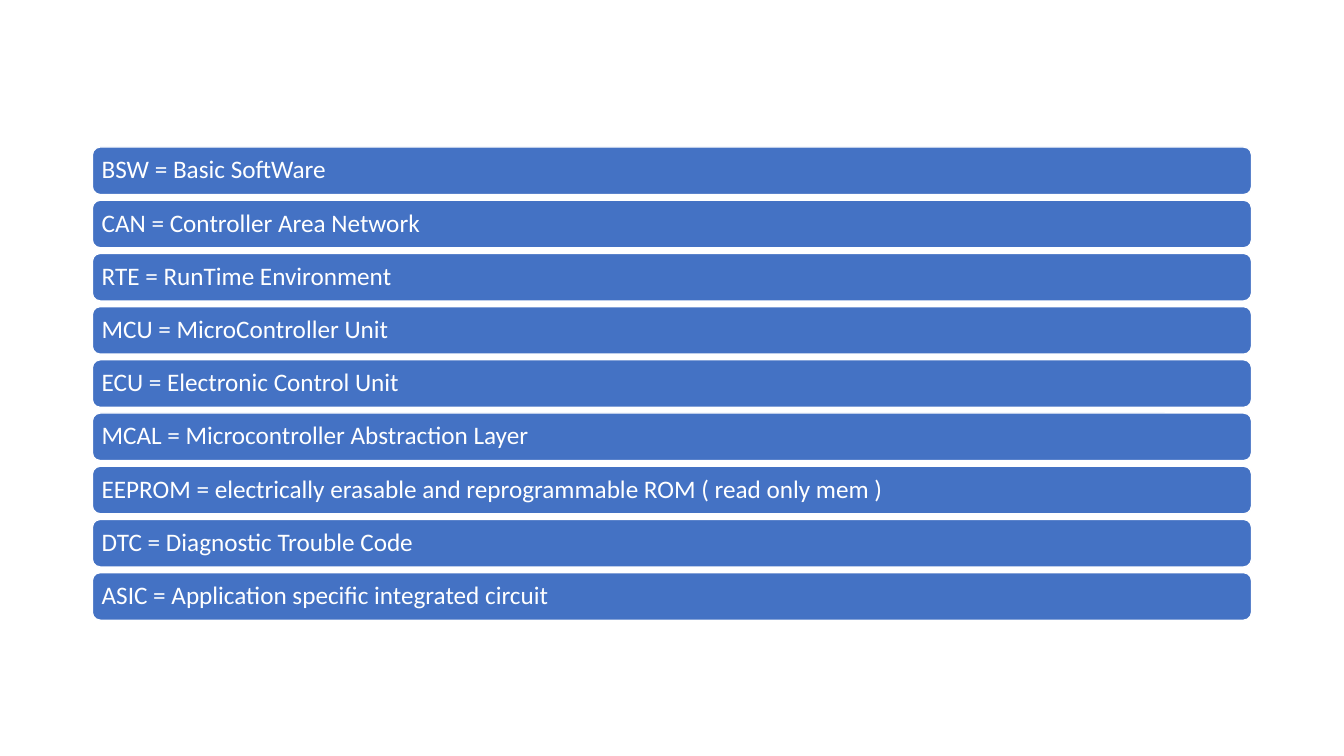
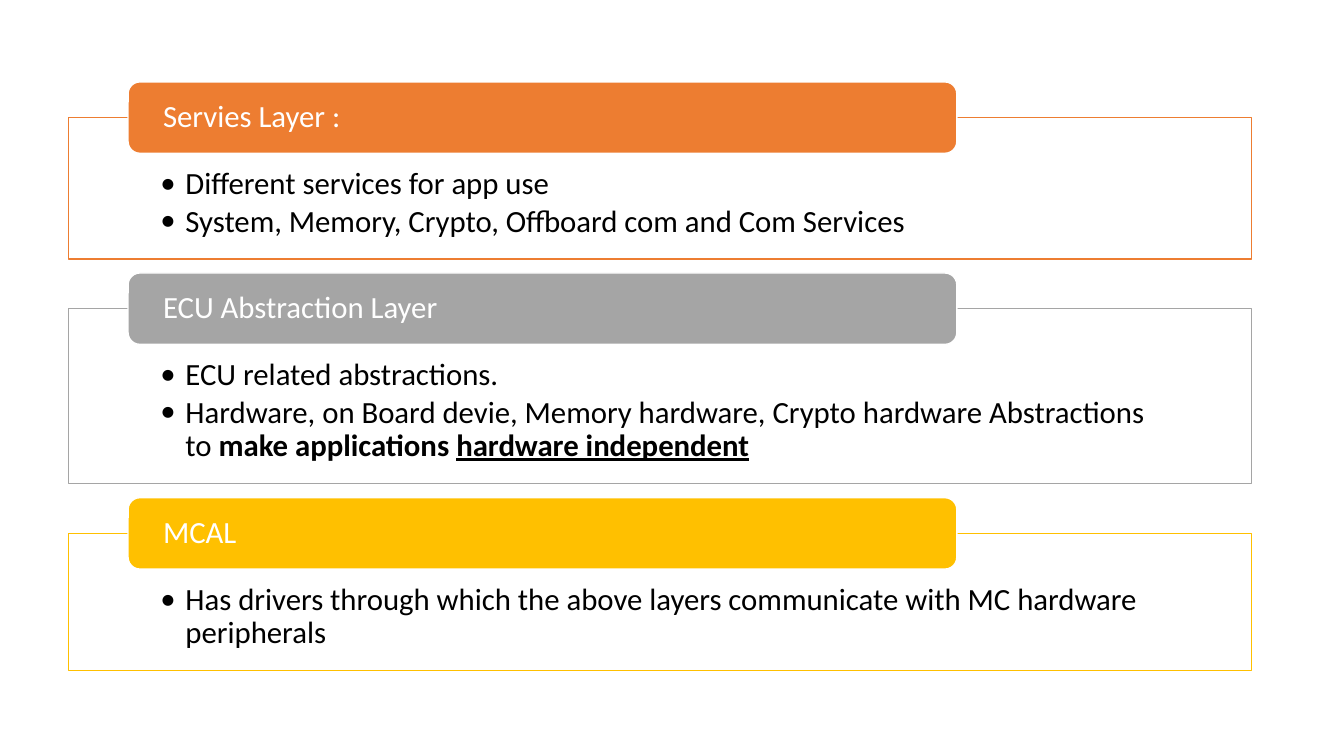
import pptx
import pptx.dml.color
import pptx.enum.shapes
import pptx.enum.text
import pptx.oxml.ns
import pptx.util
from lxml import etree

PX = 6350
FONT = "Calibri"
COLORS = {
    "white": "FFFFFF",
    "black": "000000",
    "blue": "4472C4",
    "orange": "ED7D31",
    "gray": "A5A5A5",
    "gold": "FFC000",
}
SHAPES = pptx.enum.shapes.MSO_SHAPE
ANCHORS = pptx.enum.text.MSO_ANCHOR
qn = pptx.oxml.ns.qn


def add_box(s, kind, rect, fill, line, insets, anchor):
    sp = s.shapes.add_shape(kind, *[v * PX for v in rect])
    sp.shadow.inherit = False
    sp.fill.solid()
    sp.fill.fore_color.rgb = pptx.dml.color.RGBColor.from_string(COLORS[fill])
    sp.line.color.rgb = pptx.dml.color.RGBColor.from_string(COLORS[line])
    sp.line.width = pptx.util.Pt(1)
    tf = sp.text_frame
    tf.word_wrap = True
    tf.vertical_anchor = anchor
    tf.margin_left, tf.margin_top, tf.margin_right, tf.margin_bottom = [v * PX for v in insets]
    return sp


def add_text(p, text, size=22, color="white", bold=False, underline=False):
    p.alignment = pptx.enum.text.PP_ALIGN.LEFT
    p.line_spacing = 0.9
    r = p.add_run()
    r.text = text
    r.font.name = FONT
    r.font.size = pptx.util.Pt(size)
    r.font.color.rgb = pptx.dml.color.RGBColor.from_string(COLORS[color])
    r.font.bold = bold
    r.font.underline = underline


prs = pptx.Presentation()
prs.slide_width = 1920 * PX
prs.slide_height = 1080 * PX
blank = prs.slide_layouts[6]

s = prs.slides.add_slide(blank)
terms = [
    "BSW = Basic SoftWare",
    "CAN = Controller Area Network",
    "RTE = RunTime Environment",
    "MCU = MicroController Unit",
    "ECU = Electronic Control Unit",
    "MCAL = Microcontroller Abstraction Layer",
    "EEPROM = electrically erasable and reprogrammable ROM ( read only mem )",
    "DTC = Diagnostic Trouble Code",
    "ASIC = Application specific integrated circuit",
]
for i, term in enumerate(terms):
    sp = add_box(s, SHAPES.ROUNDED_RECTANGLE, (132, 210 + 76 * i, 1656, 68),
                 "blue", "white", (10, 10, 10, 10), ANCHORS.MIDDLE)
    add_text(sp.text_frame.paragraphs[0], term, size=18)

s = prs.slides.add_slide(blank)
layers = [
    ("Servies Layer :", "orange", 202, [
        [("Different services for app use", {})],
        [("System, Memory, Crypto, Offboard com and Com Services", {})],
    ]),
    ("ECU Abstraction Layer", "gray", 250, [
        [("ECU related abstractions.", {})],
        [("Hardware, on Board devie, Memory hardware, Crypto hardware Abstractions to ", {}),
         ("make applications ", {"bold": True}),
         ("hardware independent", {"bold": True, "underline": True})],
    ]),
    ("MCAL", "gold", 196, [
        [("Has drivers through which the above layers communicate with MC hardware peripherals", {})],
    ]),
]
top = 168
for name, color, height, bullets in layers:
    frame = add_box(s, SHAPES.RECTANGLE, (98, top, 1690, height),
                    "white", color, (131, 72, 131, 24), ANCHORS.TOP)
    tint = frame.fill._xPr.find(qn("a:solidFill"))[0]
    etree.SubElement(tint, qn("a:alpha"), val="90000")
    tf = frame.text_frame
    for i, runs in enumerate(bullets):
        p = tf.add_paragraph() if i else tf.paragraphs[0]
        p.level = 1
        p.space_after = pptx.util.Pt(3)
        for text, style in runs:
            add_text(p, text, color="black", **style)
        pPr = p._p.get_or_add_pPr()
        pPr.set("marL", str(36 * PX))
        pPr.set("indent", str(-36 * PX))
        etree.SubElement(pPr, qn("a:buFont"), typeface=FONT)
        etree.SubElement(pPr, qn("a:buChar"), char="•")

    tab = add_box(s, SHAPES.ROUNDED_RECTANGLE, (183, top - 51, 1184, 102),
                  color, "white", (45, 0, 45, 0), ANCHORS.MIDDLE)
    add_text(tab.text_frame.paragraphs[0], name)
    top += height + 71

prs.save("out.pptx")
